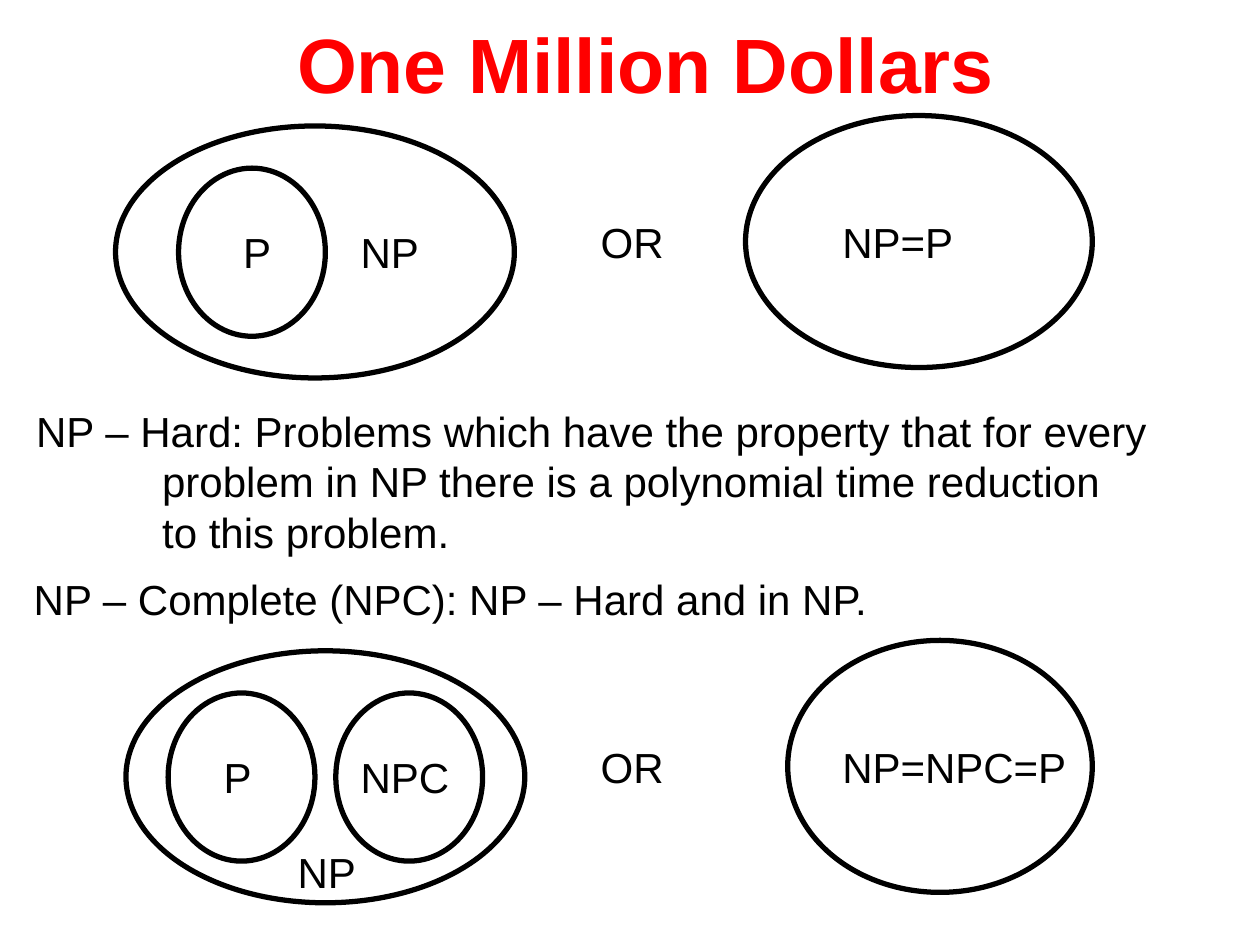
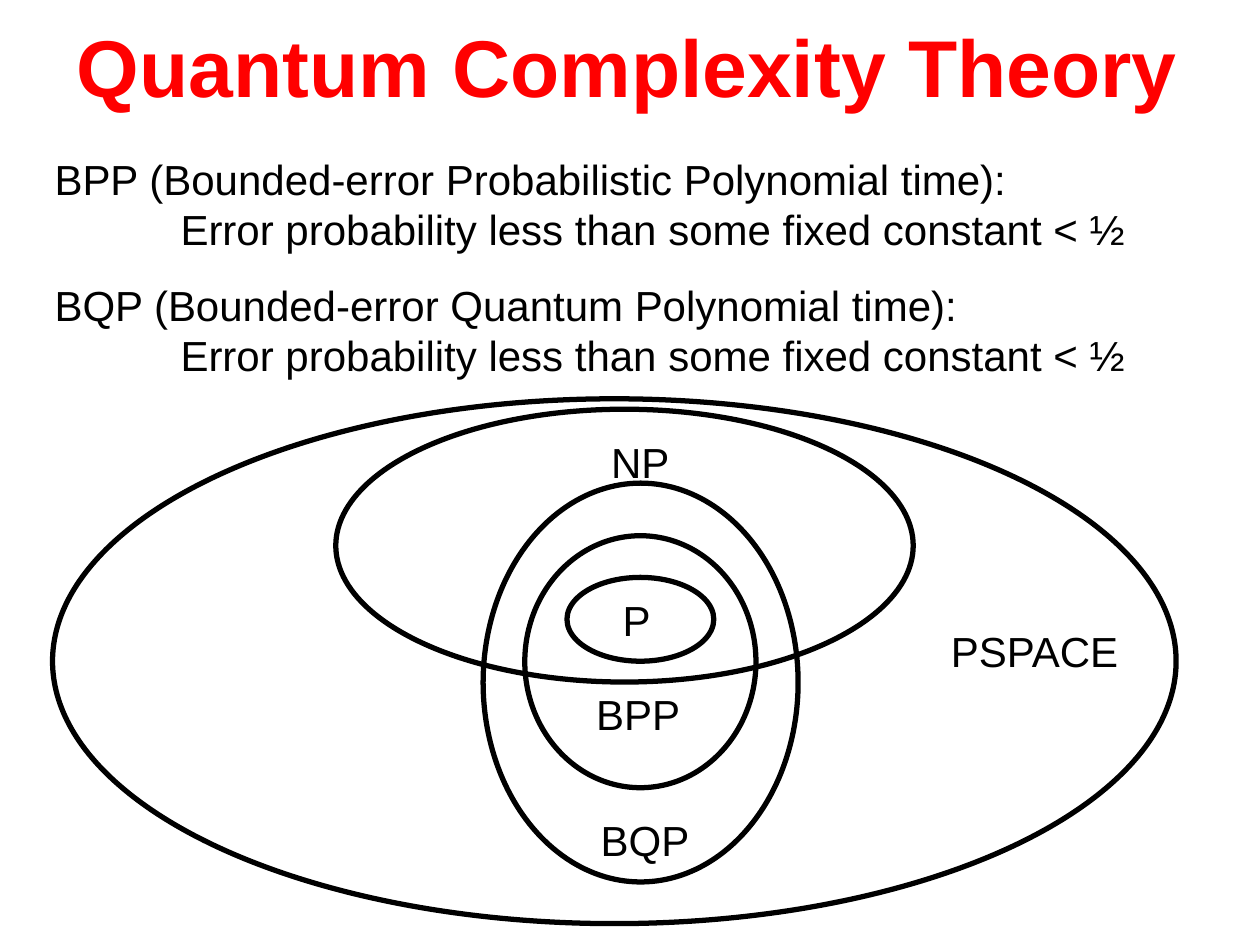
"""Build two slides on classical and quantum complexity classes."""
from pptx import Presentation
from pptx.dml.color import RGBColor
from pptx.enum.shapes import MSO_SHAPE
from pptx.enum.text import MSO_ANCHOR, MSO_AUTO_SIZE, PP_ALIGN
from pptx.util import Cm, Pt

RED = RGBColor(0xFF, 0x00, 0x00)
BLACK = RGBColor(0x00, 0x00, 0x00)
WHITE = RGBColor(0xFF, 0xFF, 0xFF)
OVAL = MSO_SHAPE.OVAL
TOP = MSO_ANCHOR.TOP
LEFT = PP_ALIGN.LEFT
NO_AUTOFIT = MSO_AUTO_SIZE.NONE
TITLE_ONLY = 5

BODY_FONT = {"name": "Arial", "size": Pt(24), "bold": False}
TITLE_FONT = {"name": "Arial", "bold": True}
FRAME_FORMAT = {
    "auto_size": NO_AUTOFIT, "word_wrap": False, "vertical_anchor": TOP,
    "margin_left": Cm(0.25), "margin_right": Cm(0.25),
    "margin_top": Cm(0.13), "margin_bottom": Cm(0.13),
}
TITLE_TOP, TITLE_HEIGHT = 0.21, 2.17
LINE_HEIGHT, PADDING = 1.02, 0.25
CONTINUATION_INDENT = Cm(2.54)

WIDE_SET, SMALL_SET = (8.04, 5.08), (2.96, 3.39)
LABEL_WIDTHS = {
    "P": 1.06, "NP": 1.67, "NPC": 2.28, "OR": 1.78, "NP=P": 2.74,
    "NP=NPC=P": 5.03, "BPP": 2.18, "BQP": 2.28, "PSPACE": 3.93,
}
ERROR_BOUND = "Error probability less than some fixed constant < ½"

# Ovals: left, top, size, fill. Labels: left, top, text. Definitions: left, top, width, lines.
SLIDES = [
    {
        "title": ("One Million Dollars", 44, 5.74, 15.2),
        "ovals": [
            (2.33, 2.54, WIDE_SET, WHITE),
            (3.6, 3.39, SMALL_SET, WHITE),
            (15.03, 2.33, (6.99, 5.08), WHITE),
            (2.54, 13.12, WIDE_SET, WHITE),
            (3.39, 13.97, SMALL_SET, WHITE),
            (6.77, 13.97, SMALL_SET, WHITE),
            (15.88, 12.91, (6.14, 5.08), WHITE),
        ],
        "labels": [
            (4.65, 4.44, "P"), (7.02, 4.44, "NP"),
            (11.86, 4.23, "OR"), (16.73, 4.23, "NP=P"),
            (4.26, 15.03, "P"), (7.02, 15.03, "NPC"), (5.75, 16.93, "NP"),
            (11.86, 14.82, "OR"), (16.73, 14.82, "NP=NPC=P"),
        ],
        "definitions": [
            (0.48, 8.04, 23.14, [
                "NP – Hard: Problems which have the property that for every",
                "problem in NP there is a polynomial time reduction",
                "to this problem.",
            ]),
            (0.43, 11.43, 17.68, ["NP – Complete (NPC): NP – Hard and in NP."]),
        ],
    },
    {
        "title": ("Quantum Complexity Theory", 46, 1.3, 23.4),
        "ovals": [
            (11.43, 11.64, (2.96, 1.69), WHITE),
            (10.58, 10.8, (4.66, 5.08), None),
            (6.77, 8.25, (11.64, 5.5), None),
            (9.74, 9.74, (6.35, 8.04), None),
            (1.06, 8.04, (22.65, 10.58), None),
        ],
        "labels": [
            (12.3, 11.85, "P"), (11.77, 13.76, "BPP"), (12.07, 8.68, "NP"),
            (11.86, 16.3, "BQP"), (18.92, 12.49, "PSPACE"),
        ],
        "definitions": [
            (0.85, 2.96, 22.5, [
                "BPP (Bounded-error Probabilistic Polynomial time):", ERROR_BOUND]),
            (0.85, 5.5, 22.5, [
                "BQP (Bounded-error Quantum Polynomial time):", ERROR_BOUND]),
        ],
    },
]


def apply_format(target, values):
    """Set every attribute named in a dict of format values."""
    for name, value in values.items():
        setattr(target, name, value)


def format_paragraph(paragraph, font_format, color):
    """Align a paragraph left and style its font."""
    paragraph.alignment = LEFT
    apply_format(paragraph.font, font_format)
    paragraph.font.color.rgb = color


def add_title(slide, text, size, left, width):
    """Move, fill and style the title placeholder."""
    title = slide.shapes.title
    apply_format(title, {"left": Cm(left), "top": Cm(TITLE_TOP),
                         "width": Cm(width), "height": Cm(TITLE_HEIGHT)})
    title.text_frame.text = text
    apply_format(title.text_frame, FRAME_FORMAT)
    format_paragraph(title.text_frame.paragraphs[0], {**TITLE_FONT, "size": Pt(size)}, RED)


def add_oval(slide, left, top, size, fill):
    """Draw one complexity class as an outlined ellipse."""
    shape = slide.shapes.add_shape(OVAL, Cm(left), Cm(top), *map(Cm, size))
    shape.shadow.inherit = False
    shape.line.color.rgb = BLACK
    shape.line.width = Pt(3)
    if fill is None:
        shape.fill.background()
    else:
        shape.fill.solid()
        shape.fill.fore_color.rgb = fill


def add_text(slide, left, top, width, lines):
    """Write lines in a text box, indenting all but the first."""
    height = LINE_HEIGHT * len(lines) + PADDING
    frame = slide.shapes.add_textbox(Cm(left), Cm(top), Cm(width), Cm(height)).text_frame
    apply_format(frame, FRAME_FORMAT)
    frame.text = "\n".join(lines)
    for index, paragraph in enumerate(frame.paragraphs):
        if index:
            paragraph._p.get_or_add_pPr().set("marL", str(CONTINUATION_INDENT))
        format_paragraph(paragraph, BODY_FONT, BLACK)


def main():
    """Build and save the presentation."""
    presentation = Presentation()
    presentation.slide_width, presentation.slide_height = Cm(25.4), Cm(19.05)
    for content in SLIDES:
        slide = presentation.slides.add_slide(presentation.slide_layouts[TITLE_ONLY])
        add_title(slide, *content["title"])
        for oval in content["ovals"]:
            add_oval(slide, *oval)
        for left, top, text in content["labels"]:
            add_text(slide, left, top, LABEL_WIDTHS[text], [text])
        for definition in content["definitions"]:
            add_text(slide, *definition)
    presentation.save("out.pptx")


if __name__ == "__main__":
    main()
